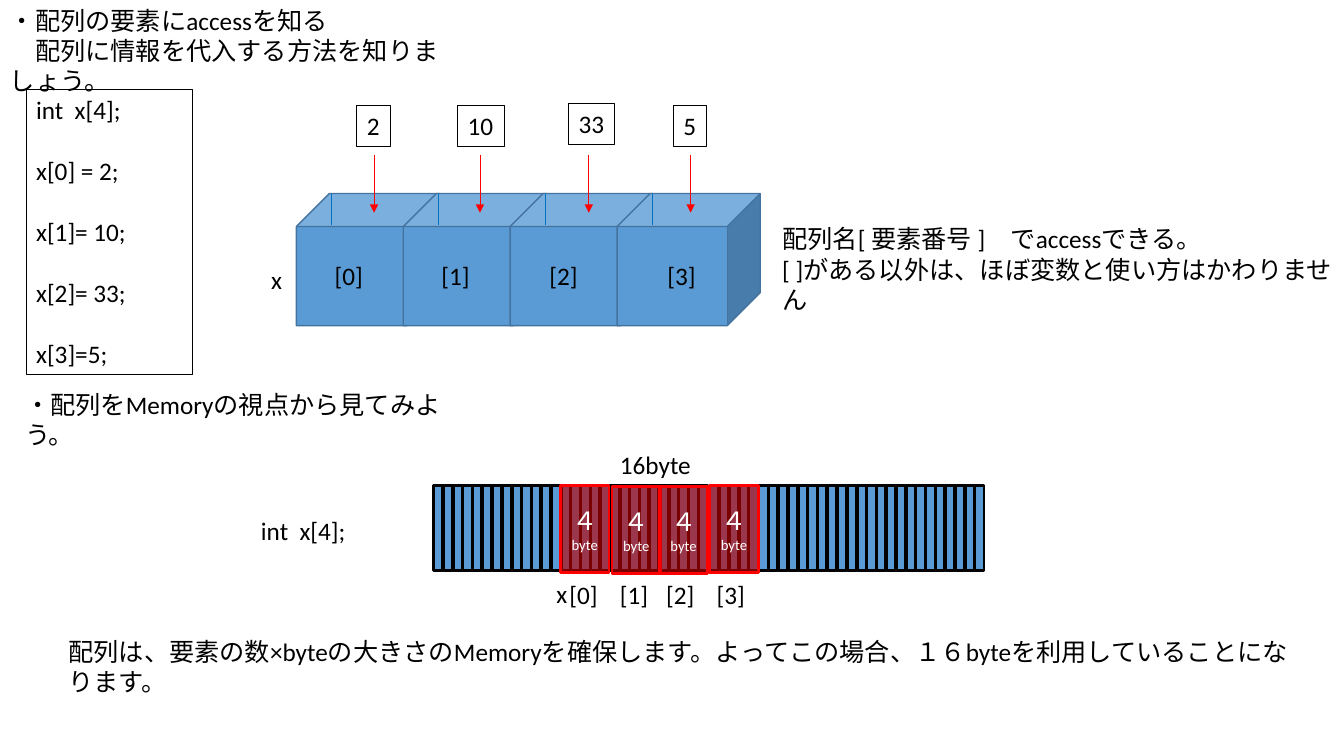
"""Build a slide on array element access and the memory an array occupies."""
from lxml import etree
from pptx import Presentation
from pptx.dml.color import RGBColor
from pptx.enum.shapes import MSO_CONNECTOR, MSO_SHAPE
from pptx.enum.text import MSO_ANCHOR, MSO_AUTO_SIZE, PP_ALIGN
from pptx.oxml.ns import qn
from pptx.util import Inches, Pt

RECTANGLE = MSO_SHAPE.RECTANGLE
CUBE = MSO_SHAPE.CUBE
STRAIGHT = MSO_CONNECTOR.STRAIGHT
MIDDLE = MSO_ANCHOR.MIDDLE
FIT_TEXT = MSO_AUTO_SIZE.SHAPE_TO_FIT_TEXT
CENTER = PP_ALIGN.CENTER

BLACK = RGBColor(0x00, 0x00, 0x00)
WHITE = RGBColor(0xFF, 0xFF, 0xFF)
RED = RGBColor(0xFF, 0x00, 0x00)
DARK_RED = RGBColor(0xC0, 0x00, 0x00)
BLUE = RGBColor(0x5B, 0x9B, 0xD5)
EDGE_BLUE = RGBColor(0x43, 0x73, 0x9E)
LINE_BLUE = RGBColor(0x00, 0x70, 0xC0)


class ArraySlide:
    """Hold the text style and the current slide."""

    font_name = "Calibri"
    font_size = 18

    def __init__(self, slide):
        self.slide = slide

    def format_run(self, paragraph, size, color):
        for run in paragraph.runs:
            run.font.name = self.font_name
            run.font.size = Pt(size)
            run.font.color.rgb = color

    def text(self, left, top, width, height, text, wrap=False, border=False, gap=0):
        box = self.slide.shapes.add_textbox(
            Inches(left), Inches(top), Inches(width), Inches(height))
        frame = box.text_frame
        frame.word_wrap = wrap
        frame.auto_size = FIT_TEXT
        frame.text = text
        for index, paragraph in enumerate(frame.paragraphs):
            if index and gap:
                paragraph.space_before = Pt(gap)
            self.format_run(paragraph, self.font_size, BLACK)
        if border:
            box.line.color.rgb = BLACK
            box.line.width = Pt(0.75)
        return box

    def indent_first_line(self, paragraph, indent):
        paragraph._p.get_or_add_pPr().set("indent", str(Inches(indent)))

    def tab_stops(self, paragraph, positions):
        tab_list = etree.SubElement(paragraph._p.get_or_add_pPr(), qn("a:tabLst"))
        for position in positions:
            etree.SubElement(tab_list, qn("a:tab"), pos=str(Inches(position)), algn="l")

    def shape(self, kind, left, top, width, height, fill, line, line_width, group=None):
        shapes = (group or self.slide).shapes
        shape = shapes.add_shape(
            kind, Inches(left), Inches(top), Inches(width), Inches(height))
        shape.shadow.inherit = False
        shape.fill.solid()
        shape.fill.fore_color.rgb = fill
        shape.line.color.rgb = line
        shape.line.width = Pt(line_width)
        return shape

    def vertical_line(self, x, top, bottom, color, arrow=False, group=None):
        connector = (group or self.slide).shapes.add_connector(
            STRAIGHT, Inches(x), Inches(top), Inches(x), Inches(bottom))
        connector.line.color.rgb = color
        connector.line.width = Pt(0.5)
        properties = connector._element.spPr
        if arrow:
            etree.SubElement(properties.find(qn("a:ln")), qn("a:tailEnd"), type="triangle")
        etree.SubElement(properties, qn("a:effectLst"))

    def element_cube(self, left):
        group = self.slide.shapes.add_group_shape()
        self.shape(CUBE, left, 1.92, 1.42, 1.31, BLUE, EDGE_BLUE, 1, group)
        self.vertical_line(left + 0.35, 1.92, 2.23, LINE_BLUE, group=group)

    def memory_block(self, left, count=28, span=2.63):
        group = self.slide.shapes.add_group_shape()
        for index in range(count):
            cell_left = left + span * index / (count - 1)
            self.shape(RECTANGLE, cell_left, 4.82, 0.09, 0.84, BLUE, BLACK, 2, group)

    def four_bytes(self, left, top):
        shape = self.shape(RECTANGLE, left, top, 0.48, 0.86, DARK_RED, RED, 2)
        color = shape._element.spPr.find(qn("a:solidFill"))[0]
        etree.SubElement(color, qn("a:alpha"), val="64000")
        frame = shape.text_frame
        frame.vertical_anchor = MIDDLE
        frame.text = "４\nbyte"
        for paragraph, size in zip(frame.paragraphs, (self.font_size, 10.5)):
            paragraph.alignment = CENTER
            self.format_run(paragraph, size, WHITE)


def main():
    presentation = Presentation()
    presentation.slide_width = Inches(13.33)
    presentation.slide_height = Inches(7.5)
    page = ArraySlide(presentation.slides.add_slide(presentation.slide_layouts[6]))

    heading = page.text(
        0, 0, 4.91, 0.71,
        "・配列の要素にaccessを知る\n配列に情報を代入する方法を知りましょう。", wrap=True)
    page.indent_first_line(heading.text_frame.paragraphs[1], 0.25)
    page.text(0.26, 0.89, 1.65, 2.83,
              "int  x[4];\nx[0] = 2;\nx[1]= 10;\nx[2]= 33;\nx[3]=5;",
              wrap=True, border=True, gap=22)

    for index in range(4):
        page.element_cube(2.94 + 1.06 * index)
    page.text(2.59, 2.57, 0.31, 0.4, "x")
    for index, left in enumerate((3.22, 4.28, 5.35, 6.52)):
        page.text(left, 2.53, 0.48, 0.4, f"[{index}]")

    for x in (3.71, 4.76, 5.84, 6.85):
        page.vertical_line(x, 1.54, 2.11, RED, arrow=True)
    for value, left, top, width in (("2", 3.54, 1.05, 0.33), ("10", 4.54, 1.05, 0.46),
                                    ("33", 5.64, 1.03, 0.46), ("5", 6.68, 1.05, 0.33)):
        page.text(left, top, width, 0.4, value, border=True)

    page.text(7.66, 2.17, 5.66, 0.71,
              "配列名[ 要素番号 ]　でaccessできる。\n"
              "[ ]がある以外は、ほぼ変数と使い方はかわりません", wrap=True)
    page.text(0.15, 3.81, 4.44, 0.4, "・配列をMemoryの視点から見てみよう。", wrap=True)

    for left in (4.3, 7.04):
        page.memory_block(left)
    for left, top in ((5.56, 4.82), (6.07, 4.83), (6.54, 4.83), (7.04, 4.82)):
        page.four_bytes(left, top)
    page.text(2.49, 5.06, 1.05, 0.4, "int  x[4];")
    page.text(5.42, 5.69, 0.31, 0.4, "x")
    indexes = page.text(5.55, 5.7, 2.03, 0.4, "[0]\t[1]\t[2]\t[3]", wrap=True)
    page.tab_stops(indexes.text_frame.paragraphs[0], (0.5, 0.96, 1.46))
    page.text(0.58, 6.26, 12.29, 0.71,
              "配列は、要素の数×byteの大きさのMemoryを確保します。"
              "よってこの場合、１６byteを利用していることになります。", wrap=True)
    page.text(6.05, 4.41, 0.91, 0.4, "16byte")

    presentation.save("out.pptx")


if __name__ == "__main__":
    main()
